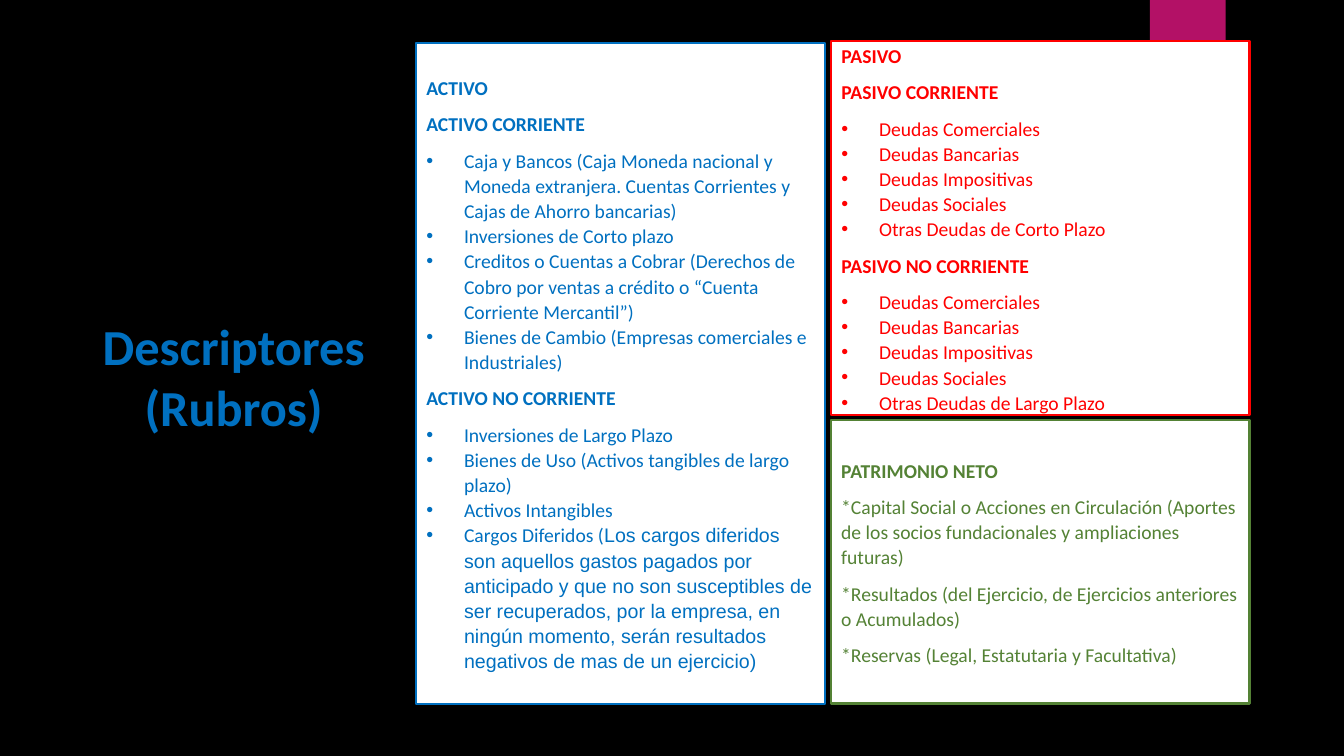
from lxml.etree import SubElement
from pptx import Presentation
from pptx.dml.color import RGBColor
from pptx.enum.shapes import MSO_SHAPE as Shape
from pptx.enum.text import MSO_ANCHOR as Anchor, MSO_AUTO_SIZE as AutoSize, PP_ALIGN as Align
from pptx.oxml.ns import qn
from pptx.util import Cm, Pt

BLACK = RGBColor(0x00, 0x00, 0x00)
WHITE = RGBColor(0xFF, 0xFF, 0xFF)
MAGENTA = RGBColor(0xB3, 0x11, 0x66)
BLUE = RGBColor(0x00, 0x70, 0xC0)
RED = RGBColor(0xFF, 0x00, 0x00)
GREEN = RGBColor(0x54, 0x82, 0x35)

ASSETS = {
    "ACTIVO": [],
    "ACTIVO CORRIENTE": [
        "Caja y Bancos (Caja Moneda nacional y Moneda extranjera. "
        "Cuentas Corrientes y Cajas de Ahorro bancarias)",
        "Inversiones de Corto plazo",
        "Creditos o Cuentas a Cobrar (Derechos de Cobro por ventas a crédito "
        "o “Cuenta Corriente Mercantil”)",
        "Bienes de Cambio (Empresas comerciales e Industriales)",
    ],
    "ACTIVO NO CORRIENTE": [
        "Inversiones de Largo Plazo",
        "Bienes de Uso (Activos tangibles de largo plazo)",
        "Activos Intangibles",
        "Cargos Diferidos (",
    ],
}
DEFERRED_CHARGES = (
    "Los cargos diferidos son aquellos gastos pagados por anticipado y que no son "
    "susceptibles de ser recuperados, por la empresa, en ningún momento, serán "
    "resultados negativos de mas de un ejercicio)"
)
DEBTS = ["Deudas Comerciales", "Deudas Bancarias", "Deudas Impositivas", "Deudas Sociales"]
LIABILITIES = {
    "PASIVO": [],
    "PASIVO CORRIENTE": DEBTS + ["Otras Deudas de Corto Plazo"],
    "PASIVO NO CORRIENTE": DEBTS + ["Otras Deudas de Largo Plazo"],
}
EQUITY = {
    "PATRIMONIO NETO": [
        "*Capital Social o Acciones en Circulación (Aportes de los socios "
        "fundacionales y ampliaciones futuras)",
        "*Resultados (del Ejercicio, de Ejercicios anteriores o Acumulados)",
        "*Reservas (Legal, Estatutaria y Facultativa)",
    ],
}


class BalanceSlide:
    font = "Calibri"
    text_size = Pt(14)
    title_size = Pt(36)
    indent = Cm(0.95)

    def __init__(self, deck):
        self.slide = deck.slides.add_slide(deck.slide_layouts[3])
        background = self.slide.background.fill
        background.solid()
        background.fore_color.rgb = BLACK

    def place(self, shape, area):
        shape.left, shape.top, shape.width, shape.height = (Cm(length) for length in area)

    def style_run(self, run, size, color, bold, font=None):
        run.font.name = font or self.font
        run.font.size = size
        run.font.bold = bold
        run.font.color.rgb = color

    def rectangle(self, area, fill):
        block = self.slide.shapes.add_shape(Shape.RECTANGLE, *(Cm(length) for length in area))
        block.shadow.inherit = False
        block.fill.solid()
        block.fill.fore_color.rgb = fill
        block.line.fill.background()
        return block

    def accent(self, area):
        tab = self.rectangle(area, MAGENTA)
        tab.element.getparent().insert(2, tab.element)

    def title(self, text, area):
        heading = self.slide.shapes.title
        self.place(heading, area)
        frame = heading.text_frame
        frame.text = text
        frame.word_wrap = True
        frame.auto_size = AutoSize.NONE
        frame.vertical_anchor = Anchor.MIDDLE
        for line in frame.paragraphs:
            line.alignment = Align.CENTER
            self.style_run(line.runs[0], self.title_size, BLUE, True)

    def bullet(self, paragraph, shown):
        properties = paragraph._p.get_or_add_pPr()
        indent = self.indent if shown else 0
        properties.set("marL", str(indent))
        properties.set("indent", str(-indent))
        if shown:
            SubElement(properties, qn("a:buFont"), typeface="Arial")
            SubElement(properties, qn("a:buChar"), char="•")
        else:
            SubElement(properties, qn("a:buNone"))

    def panel(self, shape, area, color, groups, bulleted=True):
        self.place(shape, area)
        shape.fill.solid()
        shape.fill.fore_color.rgb = WHITE
        shape.line.color.rgb = color
        shape.line.width = Pt(1.5)
        frame = shape.text_frame
        frame.word_wrap = True
        frame.auto_size = AutoSize.NONE
        frame.vertical_anchor = Anchor.MIDDLE
        lines = [line for heading, items in groups.items() for line in (heading, *items)]
        frame.text = "\n".join(lines)
        group_ends = [items[-1] for items in groups.values() if items]
        for paragraph in frame.paragraphs:
            heading = paragraph.text in groups
            listed = bulleted and not heading
            paragraph.alignment = Align.LEFT
            paragraph.line_spacing = 1.07
            paragraph.space_before = Pt(0)
            spaced = not listed or paragraph.text in group_ends
            paragraph.space_after = Pt(8 if spaced else 0)
            self.bullet(paragraph, listed)
            self.style_run(paragraph.runs[0], self.text_size, color, heading)

    def extend_last_item(self, shape, text, color):
        run = shape.text_frame.paragraphs[-1].add_run()
        run.text = text
        self.style_run(run, self.text_size, color, False, "Arial")


def main():
    deck = Presentation()
    deck.slide_width, deck.slide_height = Cm(33.87), Cm(19.05)
    balance = BalanceSlide(deck)
    assets, liabilities = list(balance.slide.placeholders)[1:3]
    for footer in list(balance.slide.placeholders)[3:]:
        footer.element.getparent().remove(footer.element)

    balance.accent((28.98, 0, 1.91, 3.18))
    balance.title("Descriptores\n(Rubros)", (1.9, 7.8, 7.98, 3.33))
    balance.panel(assets, (10.49, 1.09, 10.31, 16.64), BLUE, ASSETS)
    balance.extend_last_item(assets, DEFERRED_CHARGES, BLUE)
    balance.panel(liabilities, (20.95, 1.04, 10.54, 9.42), RED, LIABILITIES)
    equity_area = (20.95, 10.59, 10.54, 7.14)
    equity = balance.rectangle(equity_area, WHITE)
    balance.panel(equity, equity_area, GREEN, EQUITY, bulleted=False)
    deck.save("out.pptx")


if __name__ == "__main__":
    main()
